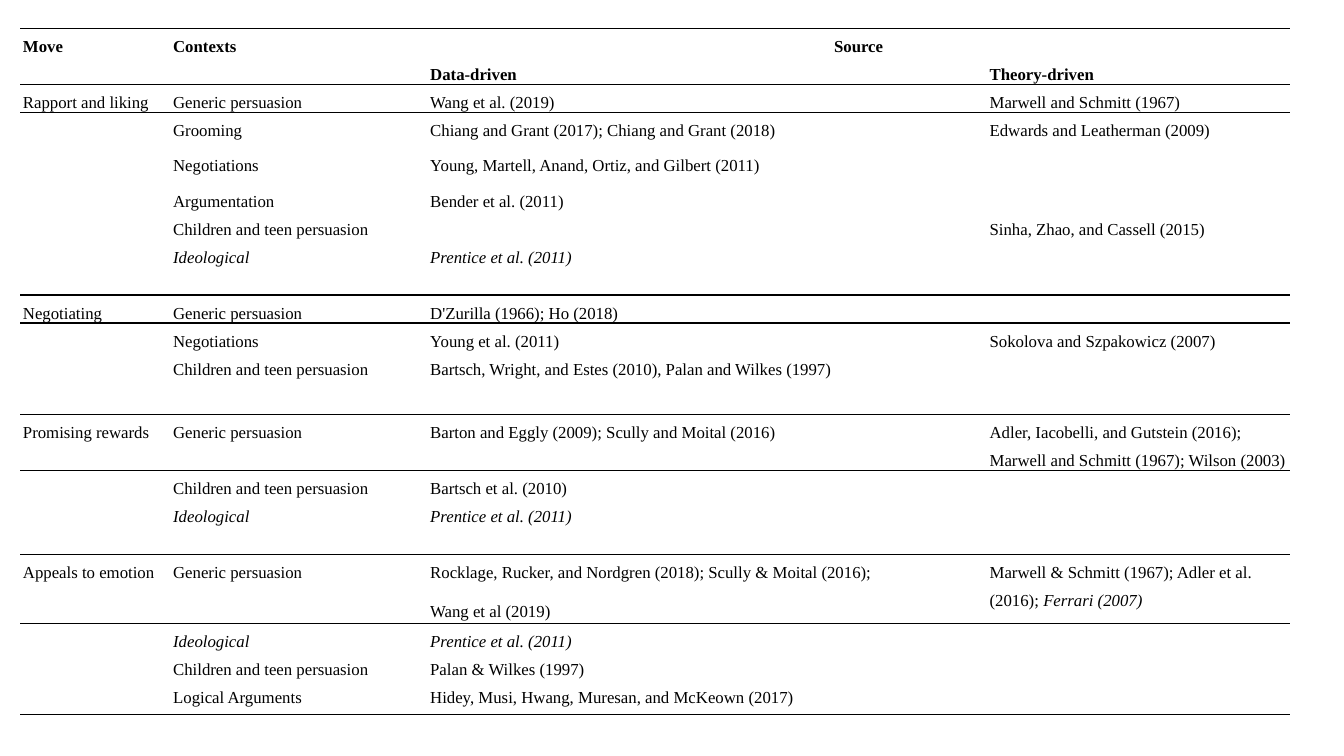
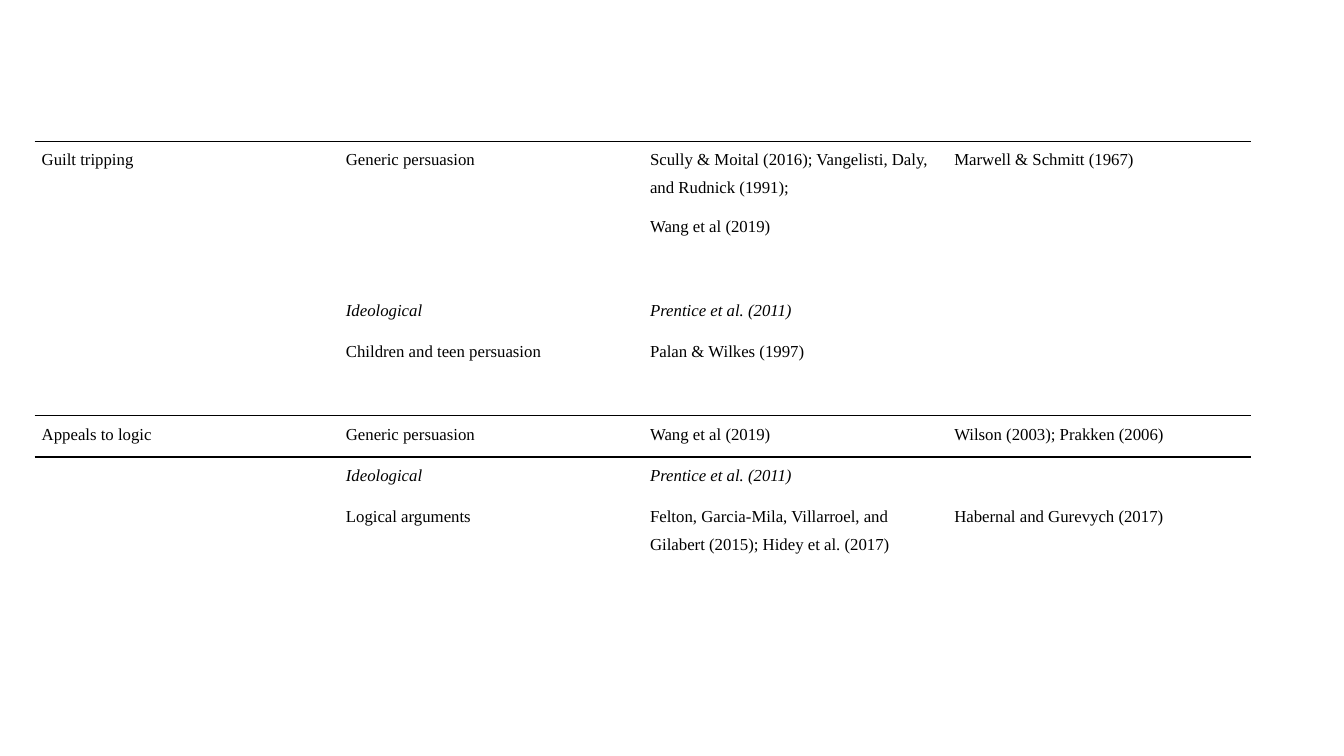
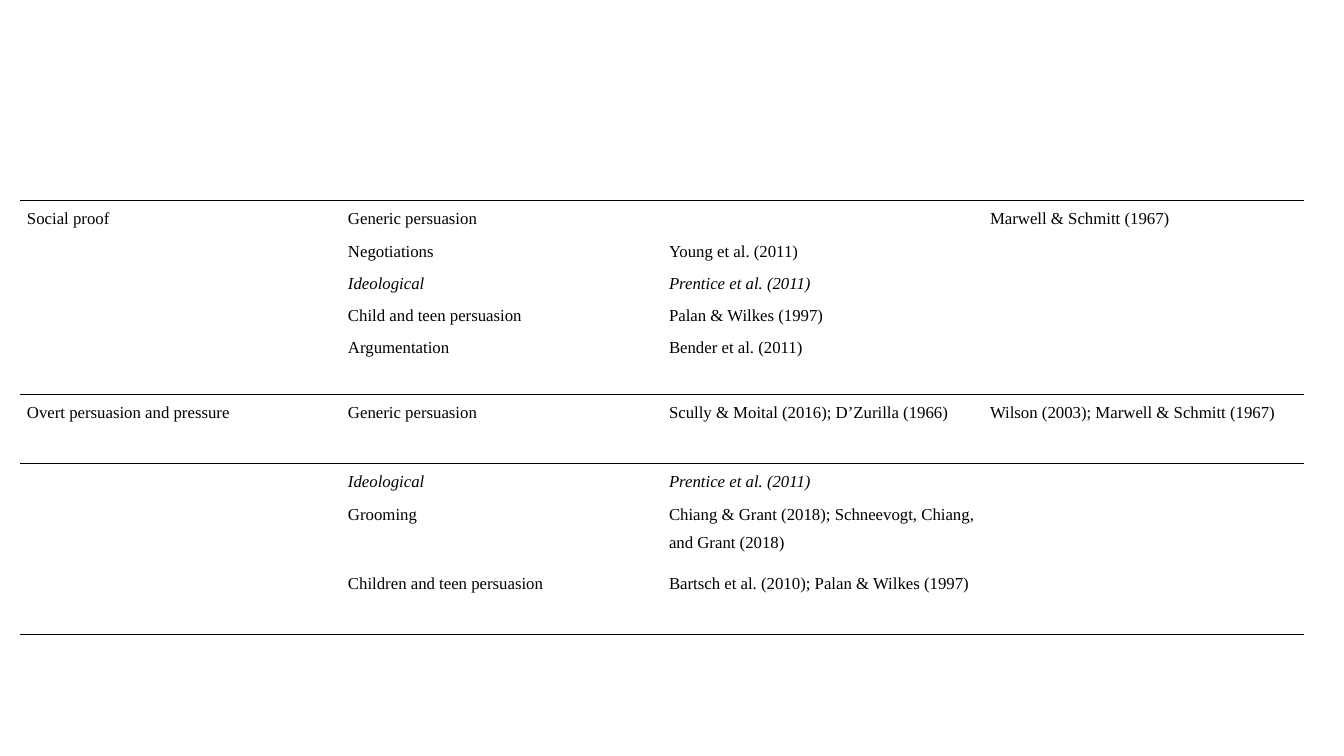
"""Build three slides of borderless tables that list persuasion moves and their sources."""
from lxml.etree import SubElement
from pptx import Presentation
from pptx.dml.color import RGBColor
from pptx.enum.text import PP_ALIGN
from pptx.oxml.ns import qn
from pptx.util import Pt

PLAIN_STYLE = "{2D5ABB26-0587-4C30-8999-92F81FD0307C}"
GENERIC = "Generic persuasion"
CHILDREN = "Children and teen persuasion"
IDEOLOGICAL = ("", "*Ideological*", "*Prentice et al. (2011)*", "")
BLANK = ("", "", "", "")


def colour(value):
    return RGBColor.from_string(value)


class Deck:
    font = "Times New Roman"
    size = 12
    ink = "000000"
    rule_width = 1

    def __init__(self):
        self.deck = Presentation()
        self.deck.slide_width, self.deck.slide_height = Pt(960), Pt(540)
        self.page = None

    def new_page(self):
        self.page = self.deck.slides.add_slide(self.deck.slide_layouts[6])

    def table(self, left, top, widths, rows, rules, inset, header_rows=0):
        frame = self.page.shapes.add_table(
            len(rows), len(widths), Pt(left), Pt(top),
            Pt(sum(widths)), Pt(sum(height for height, _ in rows)))
        table = frame.table
        table.first_row = table.horz_banding = False
        table._tbl.tblPr.find(qn("a:tableStyleId")).text = PLAIN_STYLE
        for column, width in zip(table.columns, widths):
            column.width = Pt(width)
        for index, (height, texts) in enumerate(rows):
            table.rows[index].height = Pt(height)
            for position, text in enumerate(texts):
                cell = table.cell(index, position)
                cell.margin_left = cell.margin_right = Pt(inset)
                cell.margin_top = cell.margin_bottom = 0
                self.cell_text(cell, text, index < header_rows)
                if index in rules:
                    self.rule(cell, "a:lnT")
                if index + 1 in rules:
                    self.rule(cell, "a:lnB")
                cell.fill.background()
        return table

    def cell_text(self, cell, text, bold):
        cell.text_frame.text = text.replace("*", "")
        for para, line in zip(cell.text_frame.paragraphs, text.split("\n")):
            para.line_spacing = 1.5
            para.space_after = Pt(8)
            if not line:
                SubElement(para._p, qn("a:endParaRPr"), sz=str(self.size * 100))
                continue
            para.clear()
            for number, part in enumerate(line.split("*")):
                if part:
                    span = para.add_run()
                    span.text = part
                    span.font.name = self.font
                    span.font.size = Pt(self.size)
                    span.font.color.rgb = colour(self.ink)
                    span.font.bold = bold
                    span.font.italic = number % 2 == 1

    def rule(self, cell, side):
        line = SubElement(cell._tc.get_or_add_tcPr(), qn(side), w=str(Pt(self.rule_width)))
        SubElement(SubElement(line, qn("a:solidFill")), qn("a:srgbClr"), val=self.ink)

    def save(self):
        self.deck.save("out.pptx")


FIRST_ROWS = [
    (20, ("Move", "Contexts", "Source", "")),
    (20, ("", "", "Data-driven", "Theory-driven")),
    (20, ("Rapport and liking", GENERIC, "Wang et al. (2019)", "Marwell and Schmitt (1967)")),
    (25.2, ("", "Grooming", "Chiang and Grant (2017); Chiang and Grant (2018)",
            "Edwards and Leatherman (2009)")),
    (25.2, ("", "Negotiations", "Young, Martell, Anand, Ortiz, and Gilbert (2011)", "")),
    (20, ("", "Argumentation", "Bender et al. (2011)", "")),
    (20, ("", CHILDREN, "", "Sinha, Zhao, and Cassell (2015)")),
    (20, IDEOLOGICAL),
    (20, BLANK),
    (20, ("Negotiating", GENERIC, "D'Zurilla (1966); Ho (2018)", "")),
    (20, ("", "Negotiations", "Young et al. (2011)", "Sokolova and Szpakowicz (2007)")),
    (25.2, ("", CHILDREN, "Bartsch, Wright, and Estes (2010), Palan and Wilkes (1997)", "")),
    (20, BLANK),
    (40, ("Promising rewards", GENERIC, "Barton and Eggly (2009); Scully and Moital (2016)",
          "Adler, Iacobelli, and Gutstein (2016); Marwell and Schmitt (1967); Wilson (2003)")),
    (20, ("", CHILDREN, "Bartsch et al. (2010)", "")),
    (20, IDEOLOGICAL),
    (20, BLANK),
    (49.2, ("Appeals to emotion", GENERIC,
            "Rocklage, Rucker, and Nordgren (2018); Scully & Moital (2016);\nWang et al (2019)",
            "Marwell & Schmitt (1967); Adler et al. (2016); *Ferrari (2007)*")),
    (20, IDEOLOGICAL),
    (20, ("", CHILDREN, "Palan & Wilkes (1997)", "")),
    (25.2, ("", "Logical Arguments", "Hidey, Musi, Hwang, Muresan, and McKeown (2017)", "")),
]

SECOND_ROWS = [
    (108, ("Guilt tripping", GENERIC,
           "Scully & Moital (2016); Vangelisti, Daly, and Rudnick (1991);\nWang et al (2019)",
           "Marwell & Schmitt (1967)")),
    (29.4, IDEOLOGICAL),
    (29.4, ("", CHILDREN, "Palan & Wilkes (1997)", "")),
    (29.4, BLANK),
    (29.4, ("Appeals to logic", GENERIC, "Wang et al (2019)", "Wilson (2003); Prakken (2006)")),
    (29.4, IDEOLOGICAL),
    (62.5, ("", "Logical arguments",
            "Felton, Garcia‐Mila, Villarroel, and Gilabert (2015); Hidey et al. (2017)",
            "Habernal and Gurevych (2017)")),
]

THIRD_ROWS = [
    (23.1, ("Social proof", GENERIC, "", "Marwell & Schmitt (1967)")),
    (23.1, ("", "Negotiations", "Young et al. (2011)", "")),
    (23.1, IDEOLOGICAL),
    (23.1, ("", "Child and teen persuasion", "Palan & Wilkes (1997)", "")),
    (23.1, ("", "Argumentation", "Bender et al. (2011)", "")),
    (23.1, BLANK),
    (49.5, ("Overt persuasion and pressure", GENERIC, "Scully & Moital (2016); D’Zurilla (1966)",
            "Wilson (2003); Marwell & Schmitt (1967)")),
    (23.1, IDEOLOGICAL),
    (49.5, ("", "Grooming", "Chiang & Grant (2018); Schneevogt, Chiang, and Grant (2018)", "")),
    (49.5, ("", CHILDREN, "Bartsch et al. (2010); Palan & Wilkes (1997)", "")),
]


def main():
    deck = Deck()

    deck.new_page()
    moves = deck.table(14.3, 20.2, [107.3, 183.6, 399.6, 216.7], FIRST_ROWS,
                       {0, 2, 9, 13, 17, 21}, inset=2.1, header_rows=2)
    source = moves.cell(0, 2)
    source.merge(moves.cell(0, 3))
    source.text_frame.paragraphs[0].alignment = PP_ALIGN.CENTER

    deck.new_page()
    deck.table(24.8, 100.8, [217.3] * 4, SECOND_ROWS, {0, 4}, inset=5)

    deck.new_page()
    deck.table(14.3, 143.2, [229.3] * 4, THIRD_ROWS, {0, 6, 10}, inset=5)

    deck.save()


if __name__ == "__main__":
    main()
